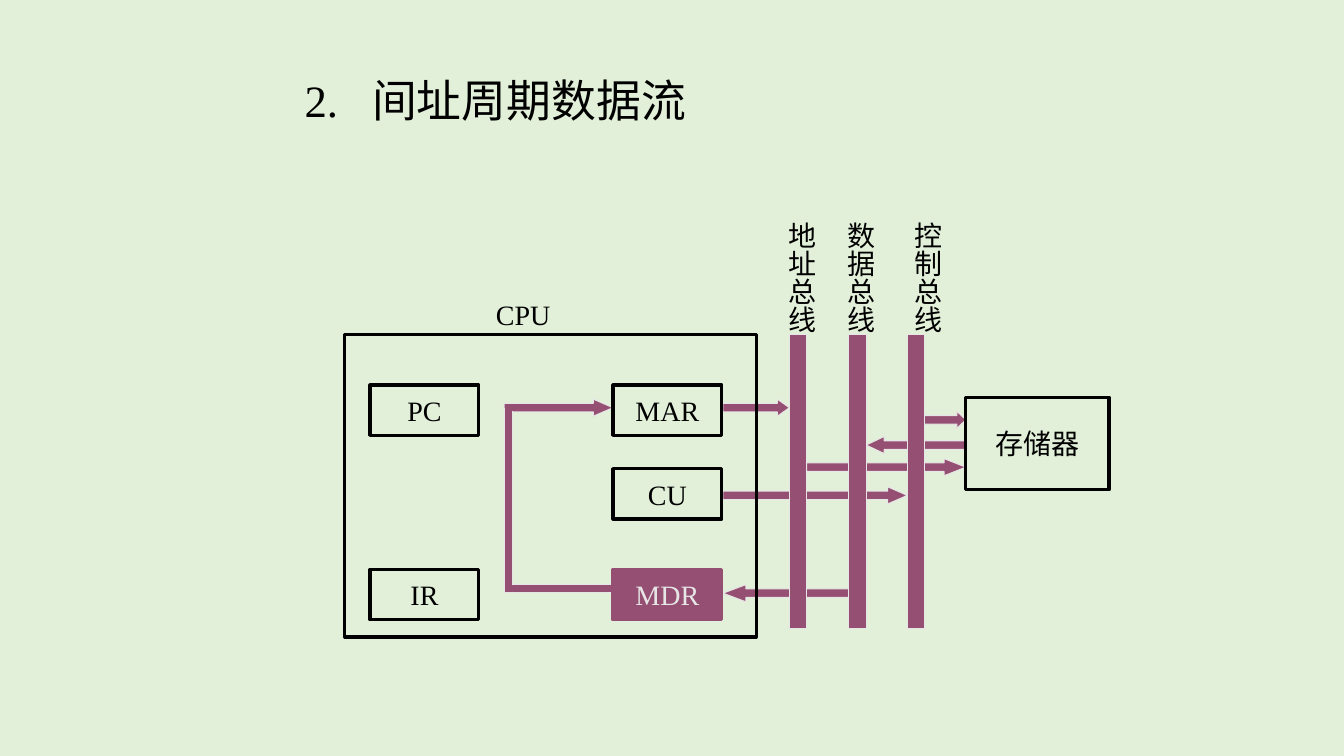
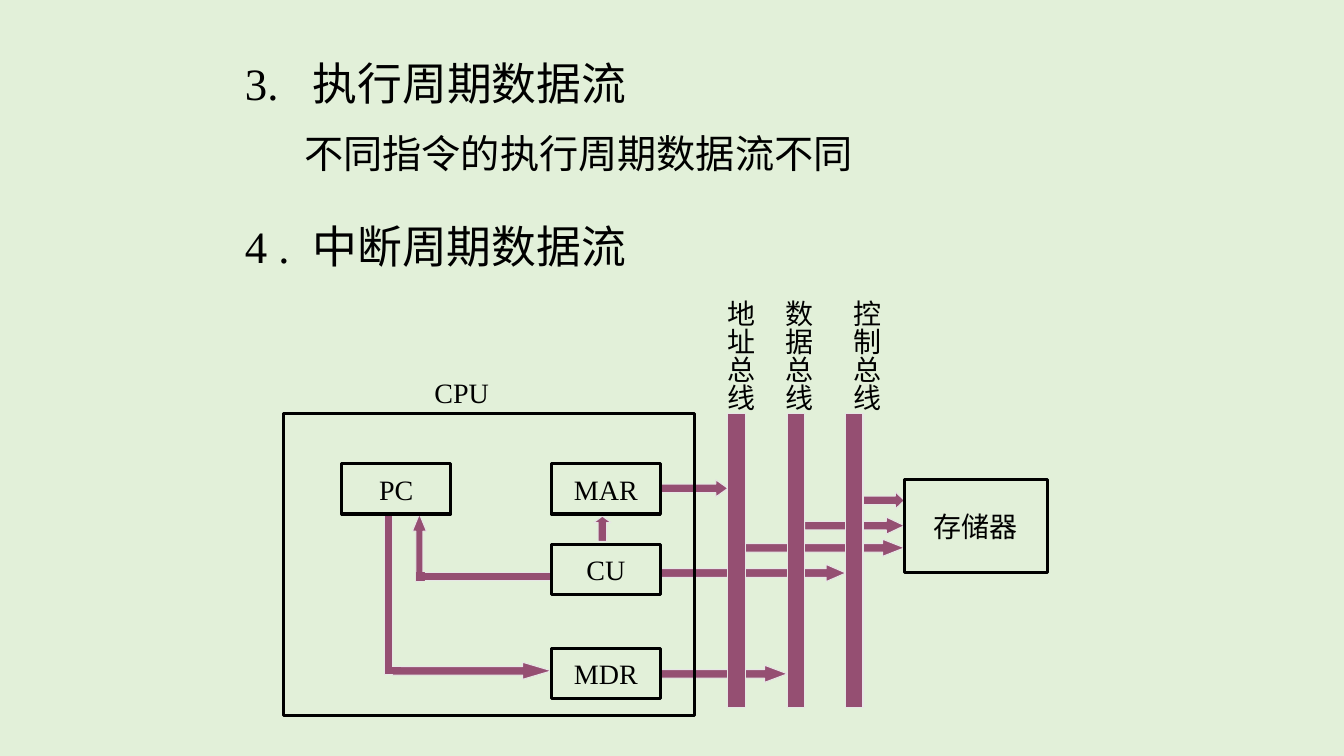
from dataclasses import dataclass
from pptx import Presentation
from pptx.dml.color import RGBColor
from pptx.enum.shapes import MSO_SHAPE
from pptx.enum.text import MSO_ANCHOR, MSO_AUTO_SIZE, PP_ALIGN
from pptx.util import Inches, Pt


@dataclass(frozen=True)
class Theme:
    background: str = "E2F0D9"
    ink: str = "000000"
    accent: str = "954F72"
    pale: str = "E7E6E6"
    font: str = "Times New Roman"
    heading: int = 32
    subheading: int = 28
    label: int = 20
    frame_line: float = 2.25
    flow_line: float = 0.75


THEME = Theme()

# Diagram grid, in inches from the top left corner of the CPU frame
CPU_SIZE = (4.08, 3)
REGISTER_SIZE = (1.08, 0.5)
MEMORY_SIZE = (1.42, 0.92)
BUS_WIDTH, BUS_HEIGHT = 0.17, 2.92
FLOW, BAR = 0.17, 0.08          # arrow thickness, plain bar thickness
HEAD_SHARE = 1.067              # arrowhead adjustment per inch of length
RIGHT_REGISTERS = 2.66
BUSES = [("地址总线", 4.41, 4.21), ("数据总线", 5, 4.79), ("控制总线", 5.58, 5.46)]
ADDRESS, DATA, CONTROL = [left for _, left, _ in BUSES]
OUT = RIGHT_REGISTERS + REGISTER_SIZE[0] + 0.01
MEMORY = 6.16
CONTROL_MIDDLE = CONTROL + BUS_WIDTH / 2

# Content: flows are (direction, from column, to column, row, head or None)
SLIDES = [
    {
        "title": ("2.\t间址周期数据流", 2.92, 0.67),
        "more": [],
        "origin": (3.42, 3.32),
        "registers": [("PC", 0.25, 0.5), ("MAR", RIGHT_REGISTERS, 0.5),
                      ("CU", RIGHT_REGISTERS, 1.33), ("MDR", RIGHT_REGISTERS, 2.33),
                      ("IR", 0.25, 2.33)],
        "active": "MDR",
        "memory_row": 0.62,
        "flows": [("left", DATA + BUS_WIDTH, MEMORY, 1.01, None),
                  ("right", OUT, CONTROL, 1.51, 1.146),
                  ("right", OUT, ADDRESS, 0.64, None),
                  ("right", ADDRESS + BUS_WIDTH, MEMORY, 1.23, 1.271),
                  ("left", OUT, DATA, 2.48, None),
                  ("right", 1.58, RIGHT_REGISTERS, 0.64, None),
                  ("right", CONTROL_MIDDLE, MEMORY, 0.76, None)],
        "rises": [],
        "bars": [(1.58, 2.48, 1.08, BAR), (1.58, 0.73, BAR, 1.83)],
        "corners": [(1.6, 2.49, 0.06, 0.06), (1.59, 0.69, 0.14, 0.06)],
    },
    {
        "title": ("3.\t执行周期数据流", 2.33, 0.5),
        "more": [("4 .\t中断周期数据流", 2.33, 2.12, 6.25, 0.63, THEME.heading),
                 ("不同指令的执行周期数据流不同", 2.92, 1.23, 5.83, 0.57, THEME.subheading)],
        "origin": (2.81, 4.1),
        "registers": [("PC", 0.58, 0.5), ("MAR", RIGHT_REGISTERS, 0.5),
                      ("CU", RIGHT_REGISTERS, 1.3), ("MDR", RIGHT_REGISTERS, 2.33)],
        "active": None,
        "memory_row": 0.66,
        "flows": [("right", OUT, ADDRESS, 0.66, None),
                  ("right", 1.08, RIGHT_REGISTERS, 2.47, None),
                  ("right", OUT, DATA, 2.5, None),
                  ("right", DATA + BUS_WIDTH, MEMORY, 1.03, None),
                  ("right", OUT, CONTROL, 1.5, 1.146),
                  ("right", ADDRESS + BUS_WIDTH, MEMORY, 1.25, 1.271),
                  ("right", CONTROL_MIDDLE, MEMORY, 0.78, None)],
        "rises": [(1.28, 1, 0.14, 0.67, 1.215), (3.08, 1.02, FLOW, 0.25, 0.375)],
        "bars": [(1, 1.01, BAR, 1.58), (1.35, 1.58, 1.3, BAR)],
        "corners": [(1.06, 2.52, 0.1, 0.06), (1.32, 1.58, 0.08, 0.08)],
    },
]


def rgb(color):
    return RGBColor.from_string(color)


def place(part, left, top, width, height):
    part.left, part.top = Inches(left), Inches(top)
    part.width, part.height = Inches(width), Inches(height)


def write(part, text, size, color=THEME.ink, align=PP_ALIGN.LEFT):
    part.text_frame.text = text
    paragraph = part.text_frame.paragraphs[0]
    paragraph.alignment = align
    if "\t" in text:            # number hangs left of the heading text
        properties = paragraph._p.get_or_add_pPr()
        properties.set("marL", str(Inches(0.67)))
        properties.set("indent", str(-Inches(0.67)))
    for run in paragraph.runs:
        run.font.name, run.font.size = THEME.font, Pt(size)
        run.font.color.rgb = rgb(color)


def add_text(slide, text, left, top, width, height, size, wrap=True, vertical=False):
    box = slide.shapes.add_textbox(*map(Inches, (left, top, width, height)))
    write(box, text, size)
    box.text_frame.word_wrap = wrap
    box.text_frame.auto_size = MSO_AUTO_SIZE.SHAPE_TO_FIT_TEXT
    if vertical:
        box.text_frame._txBody.bodyPr.set("vert", "eaVert")


class Diagram:
    def __init__(self, slide, origin):
        self.slide, self.origin = slide, origin

    def add(self, preset, left, top, width, height, fill, line, weight):
        x, y = self.origin
        part = self.slide.shapes.add_shape(
            preset, *map(Inches, (x + left, y + top, width, height)))
        part.shadow.inherit = False
        if fill:
            part.fill.solid()
            part.fill.fore_color.rgb = rgb(fill)
        else:
            part.fill.background()
        part.line.color.rgb, part.line.width = rgb(line), Pt(weight)
        return part

    def band(self, left, top, width, height, preset=MSO_SHAPE.RECTANGLE, line=THEME.pale):
        return self.add(preset, left, top, width, height, THEME.accent, line, THEME.flow_line)

    def frame(self, left, top, size, text="", active=False):
        fill, line, ink = ((THEME.accent, THEME.accent, THEME.pale) if active
                           else (None, THEME.ink, THEME.ink))
        box = self.add(MSO_SHAPE.RECTANGLE, left, top, *size, fill, line, THEME.frame_line)
        if text:
            write(box, text, THEME.label, ink, PP_ALIGN.CENTER)
            box.text_frame.word_wrap = False
            box.text_frame.vertical_anchor = MSO_ANCHOR.MIDDLE

    def flow(self, direction, start, end, row, head):
        arrow = self.band(start, row, end - start, FLOW, MSO_SHAPE.RIGHT_ARROW)
        arrow.adjustments[1] = head or (end - start) * HEAD_SHARE
        arrow.rotation = 180 if direction == "left" else 0

    def label(self, text, left, top, width, height, vertical=False):
        x, y = self.origin
        add_text(self.slide, text, x + left, y + top, width, height,
                 THEME.label, wrap=False, vertical=vertical)


def draw_diagram(slide, content):
    diagram = Diagram(slide, content["origin"])
    # Data flows, behind the buses
    for flow in content["flows"]:
        diagram.flow(*flow)
    for *box, head in content["rises"]:
        diagram.band(*box, preset=MSO_SHAPE.UP_ARROW).adjustments[1] = head
    for bar in content["bars"]:
        diagram.band(*bar)
    for corner in content["corners"]:
        diagram.band(*corner, line=THEME.accent)
    # Buses with vertical names
    for name, left, name_left in BUSES:
        diagram.band(left, 0, BUS_WIDTH, BUS_HEIGHT)
        diagram.label(name, name_left, -1.22, 0.54, 1.22, vertical=True)
    # CPU, registers and memory
    diagram.frame(0, 0, CPU_SIZE)
    diagram.label("CPU", 1.4, -0.42, 0.77, 0.43)
    for name, left, top in content["registers"]:
        diagram.frame(left, top, REGISTER_SIZE, name, name == content["active"])
    diagram.frame(MEMORY, content["memory_row"], MEMORY_SIZE, "存储器")


def build_slide(deck, content):
    slide = deck.slides.add_slide(deck.slide_layouts[5])
    # Headings
    text, left, top = content["title"]
    title = slide.shapes.title
    place(title, left, top, 6.25, 0.63)
    write(title, text, THEME.heading)
    title.text_frame.word_wrap = True
    title.text_frame.auto_size = MSO_AUTO_SIZE.NONE
    title.text_frame.vertical_anchor = MSO_ANCHOR.TOP
    for line in content["more"]:
        add_text(slide, *line)
    draw_diagram(slide, content)


deck = Presentation()
deck.slide_width, deck.slide_height = Inches(13.33), Inches(7.5)
backdrop = deck.slide_master.background.fill
backdrop.solid()
backdrop.fore_color.rgb = rgb(THEME.background)
for content in SLIDES:
    build_slide(deck, content)
deck.save("out.pptx")
